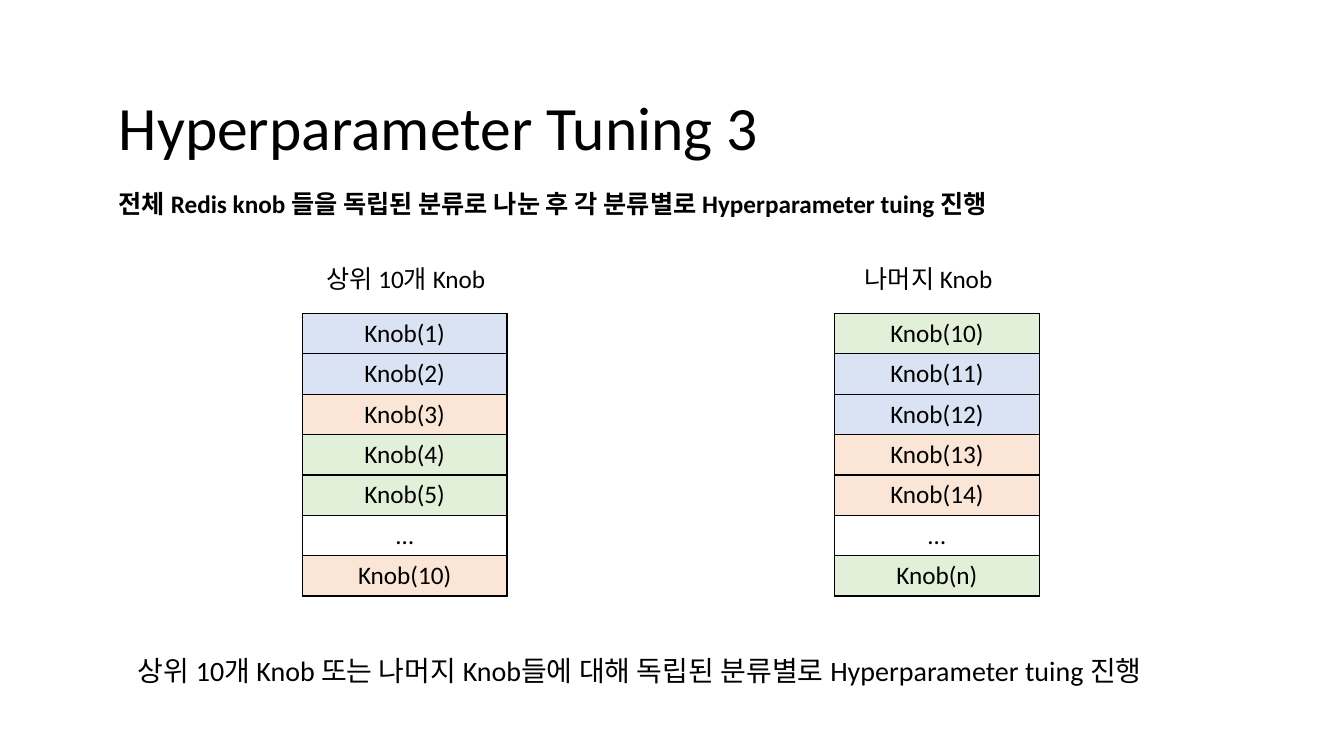
from dataclasses import dataclass

from lxml.etree import SubElement
from pptx import Presentation
from pptx.dml.color import RGBColor
from pptx.enum.text import MSO_ANCHOR as Anchor, MSO_AUTO_SIZE as AutoSize, PP_ALIGN as Align
from pptx.oxml.ns import qn
from pptx.util import Emu, Pt

PX = 9144  # EMU in one px, at 100 px to the inch


@dataclass(frozen=True)
class Theme:
    font: str = "Calibri"
    ink: str = "000000"
    blue: str = "DAE3F3"
    orange: str = "FBE5D6"
    green: str = "E2F0D9"
    title: int = 44
    body: int = 18
    summary: int = 20


def px(*lengths):
    return [Emu(length * PX) for length in lengths]


def set_attributes(target, values):
    for name, value in values.items():
        setattr(target, name, value)


class SlideBuilder:
    def __init__(self, slide, theme):
        self.slide = slide
        self.theme = theme

    def add_styled_run(self, paragraph, text, size, bold=False):
        run = paragraph.add_run()
        run.text = text
        set_attributes(run.font, {"name": self.theme.font, "size": Pt(size), "bold": bold})
        run.font.color.rgb = RGBColor.from_string(self.theme.ink)

    def text(self, box, text, size, bold=False, line_spacing=None, **frame_format):
        frame = self.slide.shapes.add_textbox(*px(*box)).text_frame
        set_attributes(frame, {"word_wrap": True, "auto_size": AutoSize.SHAPE_TO_FIT_TEXT,
                               **frame_format})
        paragraph = frame.paragraphs[0]
        paragraph.line_spacing = line_spacing
        self.add_styled_run(paragraph, text, size, bold)

    def border(self, cell):
        """Draw a 1 pt line on all four sides; call before the fill is set."""
        properties = cell._tc.get_or_add_tcPr()
        for side in ("lnL", "lnR", "lnT", "lnB"):
            line = SubElement(properties, qn(f"a:{side}"), w=str(Pt(1)))
            fill = SubElement(line, qn("a:solidFill"))
            SubElement(fill, qn("a:srgbClr"), val=self.theme.ink)

    def knob_table(self, box, knobs):
        """Stack (label, fill) pairs in one column; a fill of None leaves the cell clear."""
        table = self.slide.shapes.add_table(len(knobs), 1, *px(*box)).table
        set_attributes(table, {"first_row": False, "horz_banding": False})
        for row, (label, color) in enumerate(knobs):
            cell = table.cell(row, 0)
            self.border(cell)
            if color:
                cell.fill.solid()
                cell.fill.fore_color.rgb = RGBColor.from_string(color)
            else:
                cell.fill.background()
            paragraph = cell.text_frame.paragraphs[0]
            paragraph.alignment = Align.CENTER
            self.add_styled_run(paragraph, label, self.theme.body)


def main():
    presentation = Presentation()
    set_attributes(presentation, {"slide_width": Emu(12192000), "slide_height": Emu(6858000)})
    theme = Theme()
    blue, orange, green = theme.blue, theme.orange, theme.green
    builder = SlideBuilder(presentation.slides.add_slide(presentation.slide_layouts[6]), theme)

    builder.text((108, 57, 1150, 145), "Hyperparameter Tuning 3", theme.title, line_spacing=0.9,
                 vertical_anchor=Anchor.MIDDLE, auto_size=AutoSize.NONE)
    builder.text((108, 182, 923, 40),
                 "전체 Redis knob 들을 독립된 분류로 나눈 후 각 분류별로 Hyperparameter tuing 진행",
                 theme.body, bold=True)

    top_knobs = [("Knob(1)", blue), ("Knob(2)", blue), ("Knob(3)", orange), ("Knob(4)", green),
                 ("Knob(5)", green), ("…", None), ("Knob(10)", orange)]
    other_knobs = [("Knob(10)", green), ("Knob(11)", blue), ("Knob(12)", blue),
                   ("Knob(13)", orange), ("Knob(14)", orange), ("…", None), ("Knob(n)", green)]
    groups = [(300, 314, "상위 10개 Knob", top_knobs), (828, 848, "나머지 Knob", other_knobs)]
    for table_left, heading_left, heading, knobs in groups:
        builder.knob_table((table_left, 311, 203, 280), knobs)
        builder.text((heading_left, 256, 236, 40), heading, theme.body)

    builder.text((127, 643, 1112, 44),
                 "상위 10개 Knob 또는 나머지 Knob들에 대해 독립된 분류별로 Hyperparameter tuing 진행",
                 theme.summary)
    presentation.save("out.pptx")


if __name__ == "__main__":
    main()
